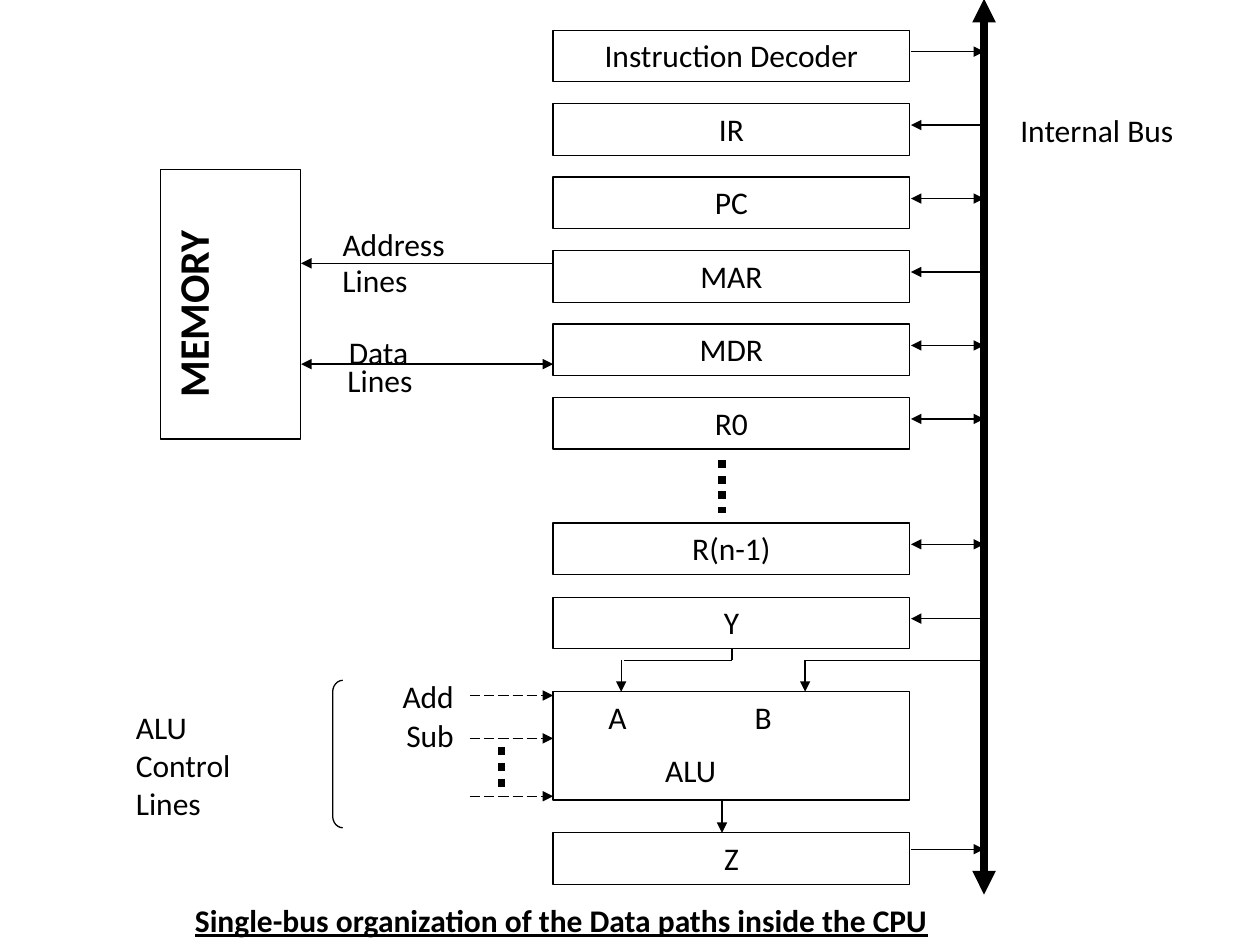
import dataclasses
import lxml.etree
import pptx
import pptx.dml.color
import pptx.enum.dml
import pptx.enum.shapes
import pptx.enum.text
import pptx.oxml.ns
import pptx.util

Inches = pptx.util.Inches
Pt = pptx.util.Pt
qn = pptx.oxml.ns.qn
Dash = pptx.enum.dml.MSO_LINE
Form = pptx.enum.shapes.MSO_SHAPE
Align = pptx.enum.text.PP_ALIGN
Fit = pptx.enum.text.MSO_AUTO_SIZE


@dataclasses.dataclass(frozen=True)
class Theme:
    ink: pptx.dml.color.RGBColor = pptx.dml.color.RGBColor(0, 0, 0)
    face: str = "Calibri"
    body: int = 18
    large: int = 24
    thin: float = 0.75
    thick: float = 4.5
    gap: int = 9


THEME = Theme()

# Shared places, in inches
LEFT, WIDTH, HIGH = 4.39, 2.83, 0.41
RIGHT, BUS, MID = 7.23, 7.81, 5.73
TOP, STEP = 0.24, 0.583

# Name, row top, drop to the arrow, arrow ends (in = at register, out = at bus)
ROWS = [(name, TOP + i * STEP, 0.17, ends) for i, (name, ends) in enumerate([
    ("Instruction Decoder", "out"), ("IR", "in"), ("PC", "both"),
    ("MAR", "in"), ("MDR", "both"), ("R0", "both")])]
ROWS += [("R(n-1)", 4.15, 0.17, "both"), ("Y", 4.74, 0.17, "in"),
         ("Z", 6.61, 0.13, "out")]


def add_line(slide, start, end, ends="", weight=THEME.thin, dash=None):
    """Draw a line; ends is in, out, both or empty."""
    line = slide.shapes.add_connector(
        pptx.enum.shapes.MSO_CONNECTOR.STRAIGHT,
        *(Inches(n) for n in (*start, *end)))
    line.line.width = Pt(weight)
    line.line.color.rgb = THEME.ink
    if dash is not None:
        line.line.dash_style = dash
    props = line.element.spPr
    for tag, kinds in (("a:headEnd", ("in", "both")),
                       ("a:tailEnd", ("out", "both"))):
        if ends in kinds:
            lxml.etree.SubElement(props.find(qn("a:ln")), qn(tag), type="triangle")
    lxml.etree.SubElement(props, qn("a:effectLst"))


def write(frame, lines, align=Align.LEFT, size=THEME.body, bold=None,
          under=None, space=None, tabs=()):
    """Fill a frame with paragraphs of one style."""
    for i, text in enumerate(lines):
        para = frame.paragraphs[0] if i == 0 else frame.add_paragraph()
        para.text = text
        para.alignment = align
        para.space_before = Pt(THEME.gap if i else 0)
        if space:
            para.line_spacing = space
        if tabs:
            stops = lxml.etree.SubElement(
                para._p.get_or_add_pPr(), qn("a:tabLst"))
            for stop in tabs[i]:
                lxml.etree.SubElement(
                    stops, qn("a:tab"), pos=str(Inches(stop)), algn="l")
        font = para.font
        font.name, font.size = THEME.face, Pt(size)
        font.color.rgb = THEME.ink
        font.bold, font.underline = bold, under


def add_form(slide, kind, *place):
    """Add an outlined shape without fill."""
    form = slide.shapes.add_shape(kind, *(Inches(n) for n in place))
    form.shadow.inherit = False
    form.fill.background()
    form.line.color.rgb = THEME.ink
    form.line.width = Pt(THEME.thin)
    return form


def add_box(slide, place, lines, **style):
    """Add a box with text from the top down."""
    box = add_form(slide, Form.RECTANGLE, *place)
    box.text_frame.word_wrap = True
    box.text_frame.vertical_anchor = pptx.enum.text.MSO_ANCHOR.TOP
    write(box.text_frame, lines, **style)
    return box


def add_label(slide, place, lines, wrap=False, **style):
    """Add free text."""
    label = slide.shapes.add_textbox(*(Inches(n) for n in place))
    frame = label.text_frame
    frame.word_wrap = wrap
    frame.auto_size = Fit.SHAPE_TO_FIT_TEXT
    write(frame, lines, **style)
    return frame


def add_rows(slide):
    """Registers and their links to the bus."""
    for name, top, drop, ends in ROWS:
        add_box(slide, (LEFT, top, WIDTH, HIGH), [name], align=Align.CENTER)
        add_line(slide, (RIGHT, top + drop), (BUS, top + drop), ends)
    add_line(slide, (MID, 3.65), (MID, 4.07),
             weight=THEME.thick, dash=Dash.ROUND_DOT)


def add_unit(slide):
    """The ALU with its inputs, output and control lines."""
    top, turn = 5.49, 5.24
    add_box(slide, (LEFT, top, WIDTH, 0.86), ["\tA\tB", "\tALU"],
            tabs=((0.34, 1.5), (0.79,)))
    # Data paths
    for start, end, ends in (
            ((5.81, 5.15), (5.81, turn), ""),
            ((4.95, turn), (5.81, turn), ""),
            ((4.93, turn), (4.93, top), "out"),
            ((6.39, turn), (BUS, turn), ""),
            ((6.39, turn), (6.39, top), "out"),
            ((MID, 6.34), (MID, 6.61), "out")):
        add_line(slide, start, end, ends)
    # Control lines
    for y in (5.52, 5.86, 6.32):
        add_line(slide, (3.73, y), (LEFT, y), "out", dash=Dash.LONG_DASH)
    add_line(slide, (3.98, 5.93), (3.98, 6.26),
             weight=THEME.thick, dash=Dash.ROUND_DOT)
    frame = add_label(slide, (2.78, 5.31, 0.92, 0.67), ["Add", "Sub"],
                      wrap=True, align=Align.RIGHT, space=0.6)
    frame.margin_top, frame.margin_bottom = Inches(0.17), 0
    brace = add_form(slide, Form.LEFT_BRACKET, 2.64, 5.4, 0.08, 1.17)
    brace.adjustments[0] = 1.167
    add_label(slide, (0.98, 5.57, 1.33, 1), ["ALU Control Lines"], wrap=True)


def add_store(slide):
    """Memory with its address and data lines."""
    box = add_box(slide, (0.76, 1.86, 2.14, 1.11), ["MEMORY"],
                  size=THEME.large, bold=True)
    box.rotation = 270
    box.text_frame.margin_left = Inches(0.33)
    for y, ends in ((2.09, "out"), (2.89, "both")):
        add_line(slide, (LEFT, y), (2.39, y), ends)
    for text, left, top, width in (
            ("Address", 2.62, 1.74, 1.12), ("Lines", 2.62, 2.02, 0.8),
            ("Data", 2.67, 2.59, 0.73), ("Lines", 2.66, 2.82, 0.8)):
        add_label(slide, (left, top, width, 0.4), [text])


def main():
    deck = pptx.Presentation()
    deck.slide_width, deck.slide_height = Inches(10), Inches(7.5)
    slide = deck.slides.add_slide(deck.slide_layouts[6])
    # Internal bus
    add_line(slide, (BUS, -0.01), (BUS, 7.1), "both", THEME.thick)
    add_label(slide, (8, 0.83, 1.53, 0.4), ["Internal Bus"])
    add_rows(slide)
    add_unit(slide)
    add_store(slide)
    # Caption
    add_label(slide, (0.33, 7.1, 8.25, 0.4),
              ["Single-bus organization of the Data paths inside the CPU"],
              wrap=True, align=Align.CENTER, bold=True, under=True)
    deck.save("out.pptx")


main()
